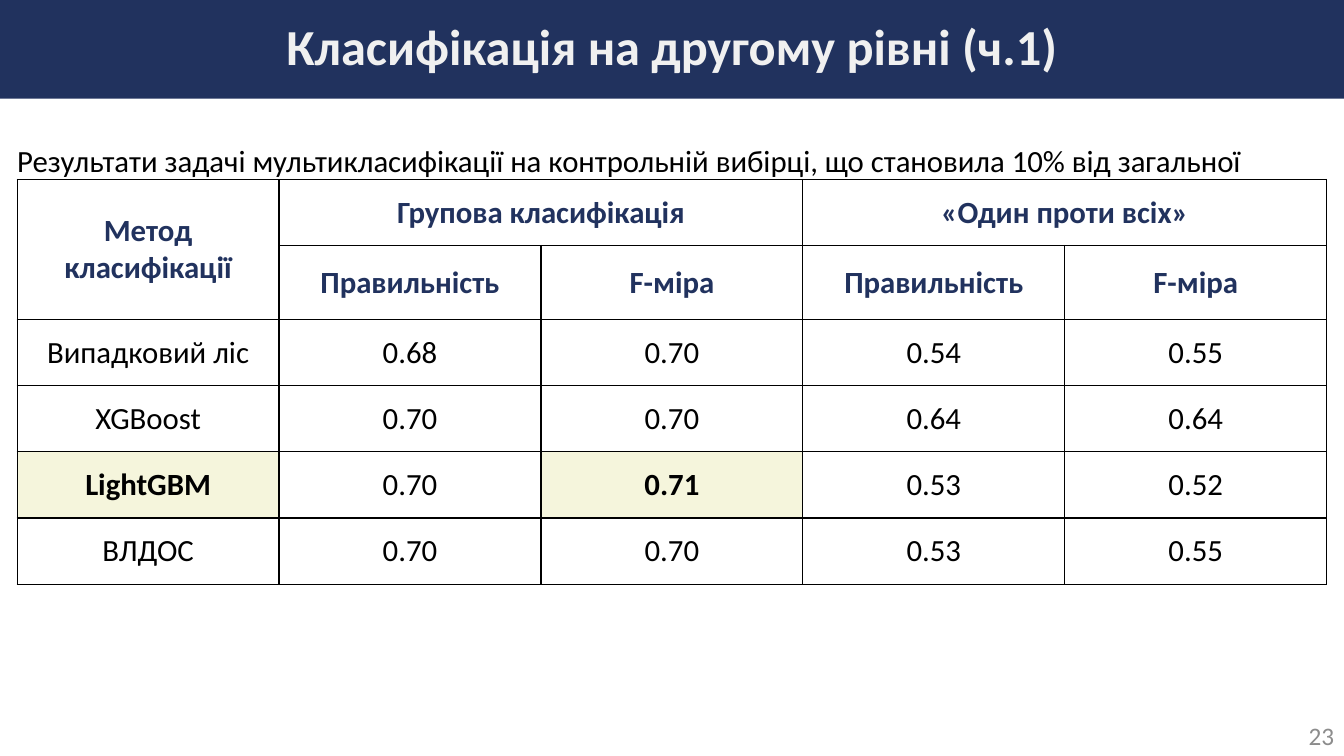
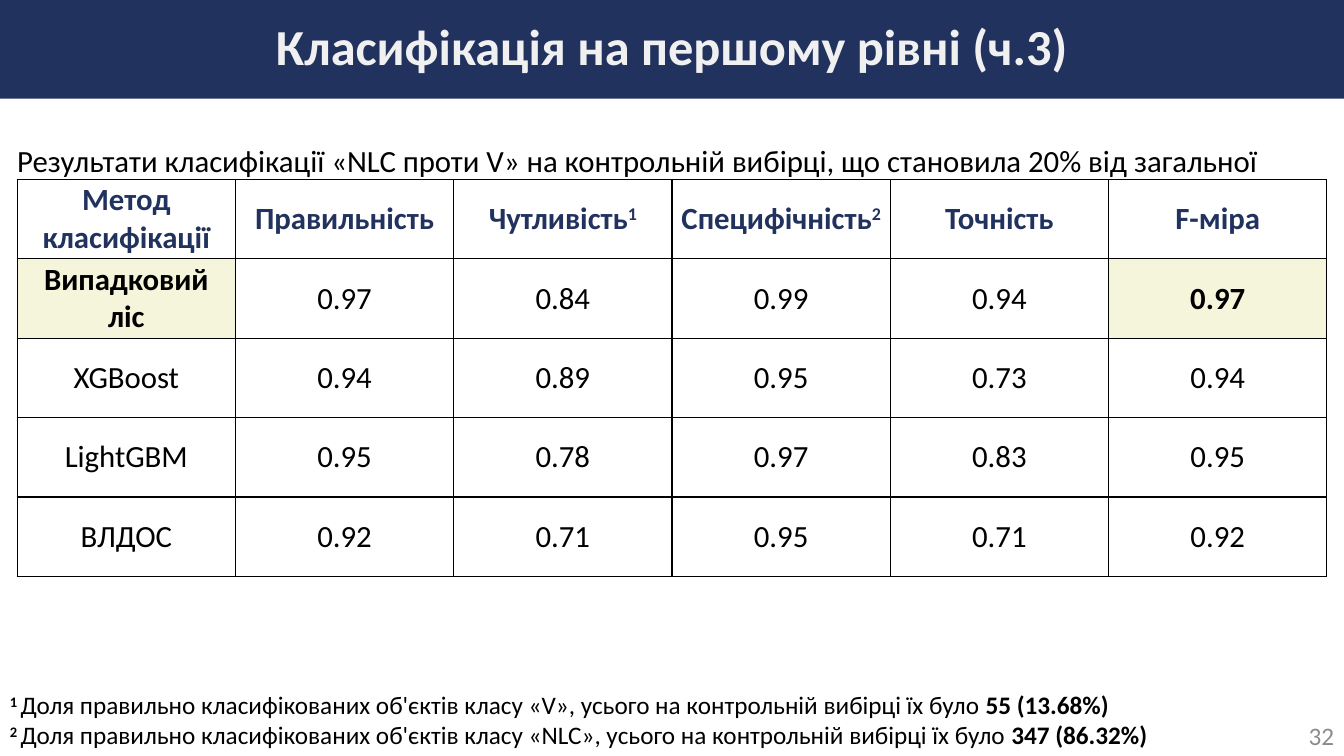
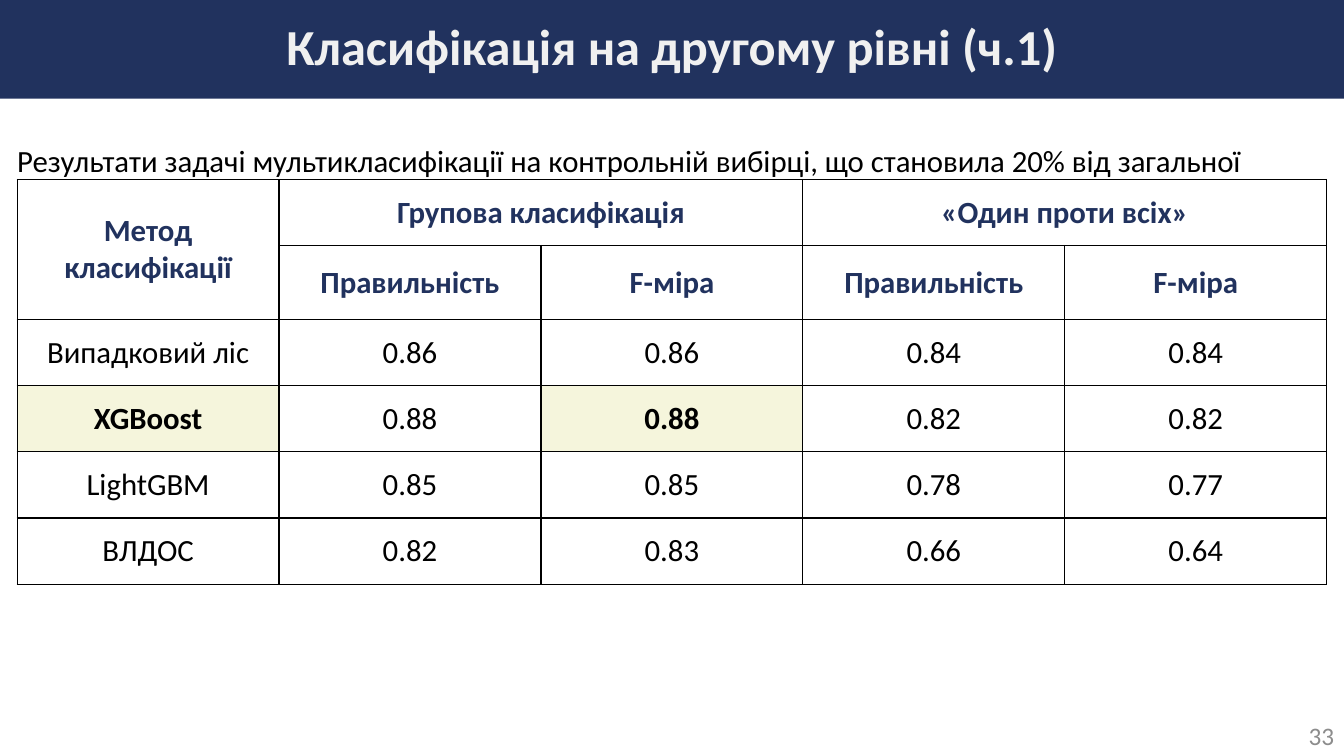
from dataclasses import dataclass

import lxml.etree
import pptx
import pptx.dml.color
import pptx.enum.shapes
import pptx.enum.text
import pptx.oxml.ns
import pptx.util

Inches = pptx.util.Inches
Align = pptx.enum.text.PP_ALIGN
Anchor = pptx.enum.text.MSO_ANCHOR


@dataclass(frozen=True)
class Theme:
    font: str = "Calibri"
    navy: str = "21325E"
    white: str = "FFFFFF"
    title_text: str = "F0F0F0"
    black: str = "000000"
    gray: str = "8C8C8C"
    highlight: str = "F5F5DC"
    title_size: int = 36
    body_size: int = 22
    small_size: int = 18
    border_width: int = 1


@dataclass(frozen=True)
class Part:
    text: str
    bold: bool = False
    superscript: bool = False


def rgb(value):
    return pptx.dml.color.RGBColor.from_string(value)


class Deck:
    width, height = 13.33, 7.5
    left, table_top, table_width, table_height = 0.17, 1.78, 12.99, 3.94

    def __init__(self, theme):
        self.theme = theme
        self.presentation = pptx.Presentation()
        self.presentation.slide_width = Inches(self.width)
        self.presentation.slide_height = Inches(self.height)
        self.slide = None

    def add_slide(self, title, number, caption):
        self.slide = self.presentation.slides.add_slide(self.presentation.slide_layouts[6])
        self.add_text(10.33, 7.1, 3, 0.4, [str(number)], self.theme.small_size,
                      self.theme.gray, Align.RIGHT, Anchor.MIDDLE)
        self.add_title(title)
        self.add_text(self.left, 1.41, self.table_width, 0.37, [caption],
                      self.theme.body_size, self.theme.black, inset=False)

    def fill_paragraph(self, paragraph, content, size, color, alignment=Align.LEFT, bold=False):
        paragraph.alignment = alignment
        font = paragraph.font
        font.name = self.theme.font
        font.size = pptx.util.Pt(size)
        font.color.rgb = rgb(color)
        if isinstance(content, str):
            font.bold = bold
            paragraph.add_run().text = content
            return
        for part in content:
            run = paragraph.add_run()
            run.text = part.text
            run.font.bold = part.bold
            if part.superscript:
                run.font._element.set("baseline", "30000")

    def add_title(self, title):
        band = self.slide.shapes.add_shape(
            pptx.enum.shapes.MSO_SHAPE.RECTANGLE, 0, 0, Inches(self.width), Inches(0.98))
        band.shadow.inherit = False
        band.fill.solid()
        band.fill.fore_color.rgb = rgb(self.theme.navy)
        band.line.fill.background()
        band.text_frame.vertical_anchor = Anchor.MIDDLE
        paragraph = band.text_frame.paragraphs[0]
        paragraph.line_spacing = 0.9
        self.fill_paragraph(paragraph, title, self.theme.title_size, self.theme.title_text,
                            Align.CENTER, True)

    def add_text(self, left, top, width, height, lines, size, color,
                 alignment=Align.LEFT, anchor=Anchor.TOP, inset=True):
        box = self.slide.shapes.add_textbox(
            Inches(left), Inches(top), Inches(width), Inches(height))
        frame = box.text_frame
        frame.word_wrap = True
        frame.vertical_anchor = anchor
        if not inset:
            frame.margin_left = frame.margin_right = 0
            frame.margin_top = frame.margin_bottom = 0
        for index, line in enumerate(lines):
            paragraph = frame.add_paragraph() if index else frame.paragraphs[0]
            self.fill_paragraph(paragraph, line, size, color, alignment)

    def add_borders(self, cell):
        properties = cell._tc.get_or_add_tcPr()
        qualified = pptx.oxml.ns.qn
        for side in ("lnL", "lnR", "lnT", "lnB"):
            line = lxml.etree.SubElement(properties, qualified("a:" + side))
            line.set("w", str(pptx.util.Pt(self.theme.border_width)))
            fill = lxml.etree.SubElement(line, qualified("a:solidFill"))
            lxml.etree.SubElement(fill, qualified("a:srgbClr")).set("val", self.theme.black)

    def add_table(self, rows, header_rows, highlighted, merges=()):
        row_count, column_count = len(rows), len(rows[0])
        table = self.slide.shapes.add_table(
            row_count, column_count, Inches(self.left), Inches(self.table_top),
            Inches(self.table_width), Inches(self.table_height)).table
        table.first_row = table.horz_banding = False
        for row_index, row in enumerate(rows):
            for column_index, content in enumerate(row):
                cell = table.cell(row_index, column_index)
                header = row_index < header_rows
                strong = (row_index, column_index) in highlighted
                self.add_borders(cell)
                cell.fill.solid()
                cell.fill.fore_color.rgb = rgb(
                    self.theme.highlight if strong else self.theme.white)
                cell.vertical_anchor = Anchor.MIDDLE
                cell.margin_left = cell.margin_right = Inches(0.07)
                cell.margin_top = cell.margin_bottom = 0
                if content:
                    self.fill_paragraph(
                        cell.text_frame.paragraphs[0], content, self.theme.body_size,
                        self.theme.navy if header else self.theme.black,
                        Align.CENTER, header or strong)
        for first, last in merges:
            table.cell(*first).merge(table.cell(*last))

    def add_group_slide(self, number, share, best_row, results):
        self.add_slide(
            "Класифікація на другому рівні (ч.1)", number,
            "Результати задачі мультикласифікації на контрольній вибірці, "
            f"що становила {share}% від загальної")
        headers = [
            ["Метод класифікації", "Групова класифікація", "", "«Один проти всіх»", ""],
            [""] + ["Правильність", "F-міра"] * 2,
        ]
        self.add_table(headers + method_rows(results), 2, {(best_row, 0), (best_row, 2)},
                       [((0, 0), (1, 0)), ((0, 1), (0, 2)), ((0, 3), (0, 4))])


def method_rows(results):
    methods = ["Випадковий ліс", "XGBoost", "LightGBM", "ВЛДОС"]
    return [[method] + [f"{value:.2f}" for value in values]
            for method, values in zip(methods, results)]


def footnote(mark, class_name, count):
    return [
        Part(f"{mark} ", bold=True, superscript=True),
        Part(f"Доля правильно класифікованих об'єктів класу «{class_name}», "
             "усього на контрольній вибірці їх було "),
        Part(count, bold=True),
    ]


def marked_header(text, mark):
    return [Part(text, bold=True), Part(mark, bold=True, superscript=True)]


def main():
    theme = Theme()
    deck = Deck(theme)

    deck.add_group_slide(23, 10, 4, [
        (0.68, 0.70, 0.54, 0.55),
        (0.70, 0.70, 0.64, 0.64),
        (0.70, 0.71, 0.53, 0.52),
        (0.70, 0.70, 0.53, 0.55),
    ])

    deck.add_slide(
        "Класифікація на першому рівні (ч.3)", 32,
        "Результати класифікації «NLC проти V» на контрольній вибірці, "
        "що становила 20% від загальної")
    deck.add_text(0, 6.79, 12.55, 0.71,
                  [footnote(1, "V", "55 (13.68%)"), footnote(2, "NLC", "347 (86.32%)")],
                  theme.small_size, theme.black)
    headers = ["Метод класифікації", "Правильність", marked_header("Чутливість", "1"),
               marked_header("Специфічність", "2"), "Точність", "F-міра"]
    deck.add_table([headers] + method_rows([
        (0.97, 0.84, 0.99, 0.94, 0.97),
        (0.94, 0.89, 0.95, 0.73, 0.94),
        (0.95, 0.78, 0.97, 0.83, 0.95),
        (0.92, 0.71, 0.95, 0.71, 0.92),
    ]), 1, {(1, 0), (1, 5)})

    deck.add_group_slide(33, 20, 3, [
        (0.86, 0.86, 0.84, 0.84),
        (0.88, 0.88, 0.82, 0.82),
        (0.85, 0.85, 0.78, 0.77),
        (0.82, 0.83, 0.66, 0.64),
    ])

    deck.presentation.save("out.pptx")


if __name__ == "__main__":
    main()
